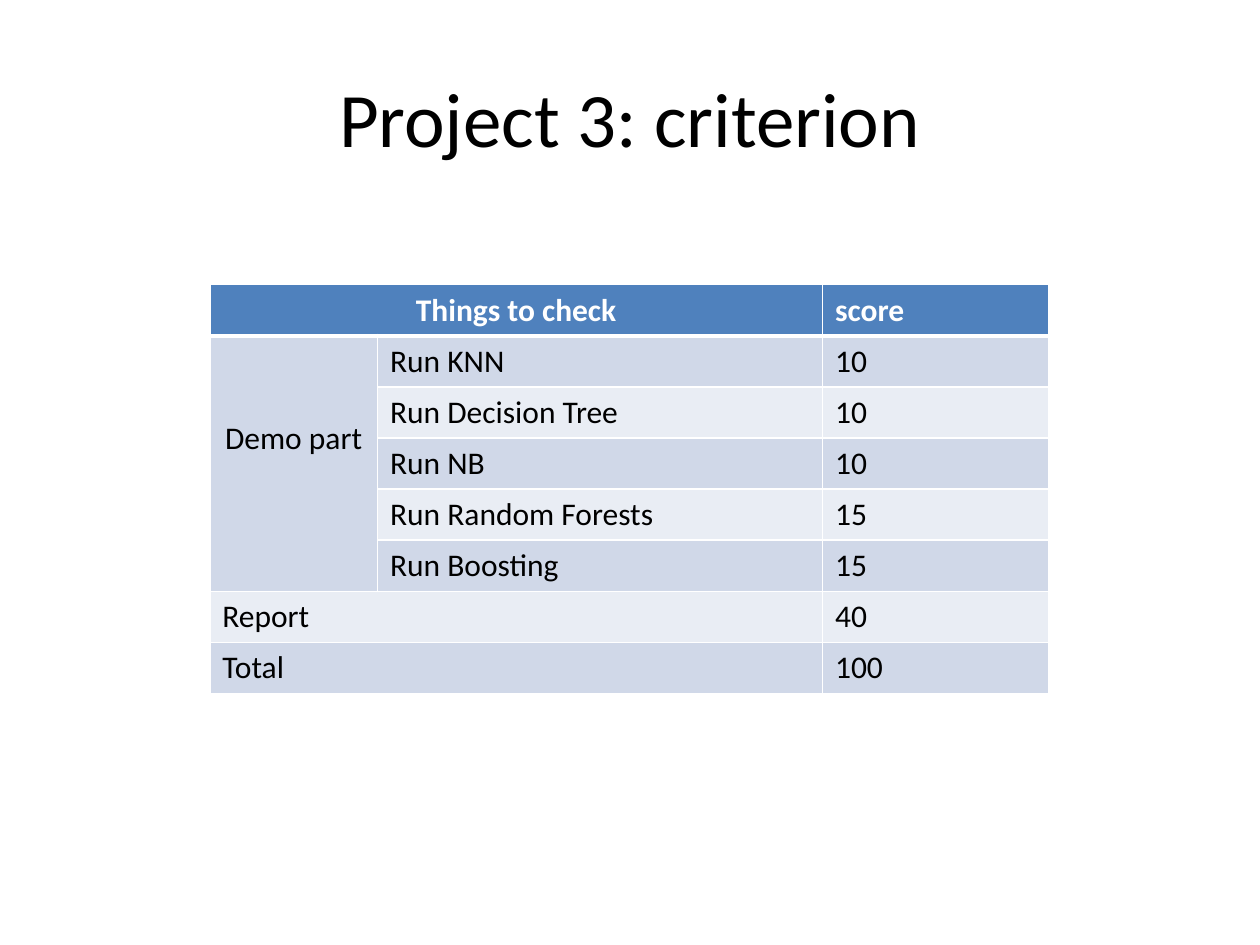
from lxml import etree
from pptx import Presentation
from pptx import util as u
from pptx.dml import color
from pptx.enum import text
from pptx.oxml import ns

TITLE = "Project 3: criterion"
ROWS = [
    ("Things to check", "", "score"),
    ("Demo part", "Run KNN", "10"),
    ("", "Run Decision Tree", "10"),
    ("", "Run NB", "10"),
    ("", "Run Random Forests", "15"),
    ("", "Run Boosting", "15"),
    ("Report", "", "40"),
    ("Total", "", "100"),
]
MERGES = [((0, 0), (0, 1)), ((1, 0), (5, 0)), ((6, 0), (6, 1)), ((7, 0), (7, 1))]
CENTERED = {(0, 0), (1, 0)}
COLUMN_WIDTHS = [3.38, 8.97, 4.57]
ROW_HEIGHT = 1.03
TABLE_LEFT, TABLE_TOP = 4.23, 5.74
DEMO_TOP_MARGIN = 1.68
COLORS = {
    "header": "4F81BD",
    "odd": "D0D8E8",
    "even": "E9EDF4",
    "light": "FFFFFF",
    "dark": "000000",
}


def rgb(name):
    return color.RGBColor.from_string(COLORS[name])


def format_text(paragraph, alignment, size, bold, color_name):
    paragraph.alignment = alignment
    values = {"name": "Calibri", "size": u.Pt(size), "bold": bold}
    for run in paragraph.runs:
        for attribute, value in values.items():
            setattr(run.font, attribute, value)
        run.font.color.rgb = rgb(color_name)


def set_borders(cell, widths):
    properties = cell._tc.get_or_add_tcPr()
    for index, (side, width) in enumerate(widths.items()):
        line = etree.Element(ns.qn(f"a:ln{side}"), w=str(u.Pt(width)))
        fill = etree.SubElement(line, ns.qn("a:solidFill"))
        etree.SubElement(fill, ns.qn("a:srgbClr"), val=COLORS["light"])
        properties.insert(index, line)


presentation = Presentation()
presentation.slide_width, presentation.slide_height = u.Cm(25.4), u.Cm(19.05)
slide = presentation.slides.add_slide(presentation.slide_layouts[5])

title = slide.shapes.title
title.left, title.top = u.Cm(1.27), u.Cm(0.76)
title.width, title.height = u.Cm(22.86), u.Cm(3.18)
title.text_frame.text = TITLE
title.text_frame.vertical_anchor = text.MSO_ANCHOR.MIDDLE
format_text(title.text_frame.paragraphs[0], text.PP_ALIGN.CENTER, 44, False, "dark")

table = slide.shapes.add_table(
    len(ROWS), len(COLUMN_WIDTHS), u.Cm(TABLE_LEFT), u.Cm(TABLE_TOP),
    u.Cm(sum(COLUMN_WIDTHS)), u.Cm(ROW_HEIGHT * len(ROWS)),
).table
for column, width in zip(table.columns, COLUMN_WIDTHS):
    column.width = u.Cm(width)

for row_index, values in enumerate(ROWS):
    table.rows[row_index].height = u.Cm(ROW_HEIGHT)
    is_header = row_index == 0
    band = "header" if is_header else "odd" if row_index % 2 else "even"
    for column_index, value in enumerate(values):
        cell = table.cell(row_index, column_index)
        cell.text = value
        cell.fill.solid()
        cell.fill.fore_color.rgb = rgb(band)
        centered = (row_index, column_index) in CENTERED
        alignment = text.PP_ALIGN.CENTER if centered else text.PP_ALIGN.LEFT
        format_text(cell.text_frame.paragraphs[0], alignment, 18, is_header,
                    "light" if is_header else "dark")
        set_borders(cell, {"L": 1, "R": 1, "T": 3 if row_index == 1 else 1,
                           "B": 3 if is_header else 1})

for first, last in MERGES:
    table.cell(*first).merge(table.cell(*last))
table.cell(1, 0).margin_top = u.Cm(DEMO_TOP_MARGIN)

presentation.save("out.pptx")
